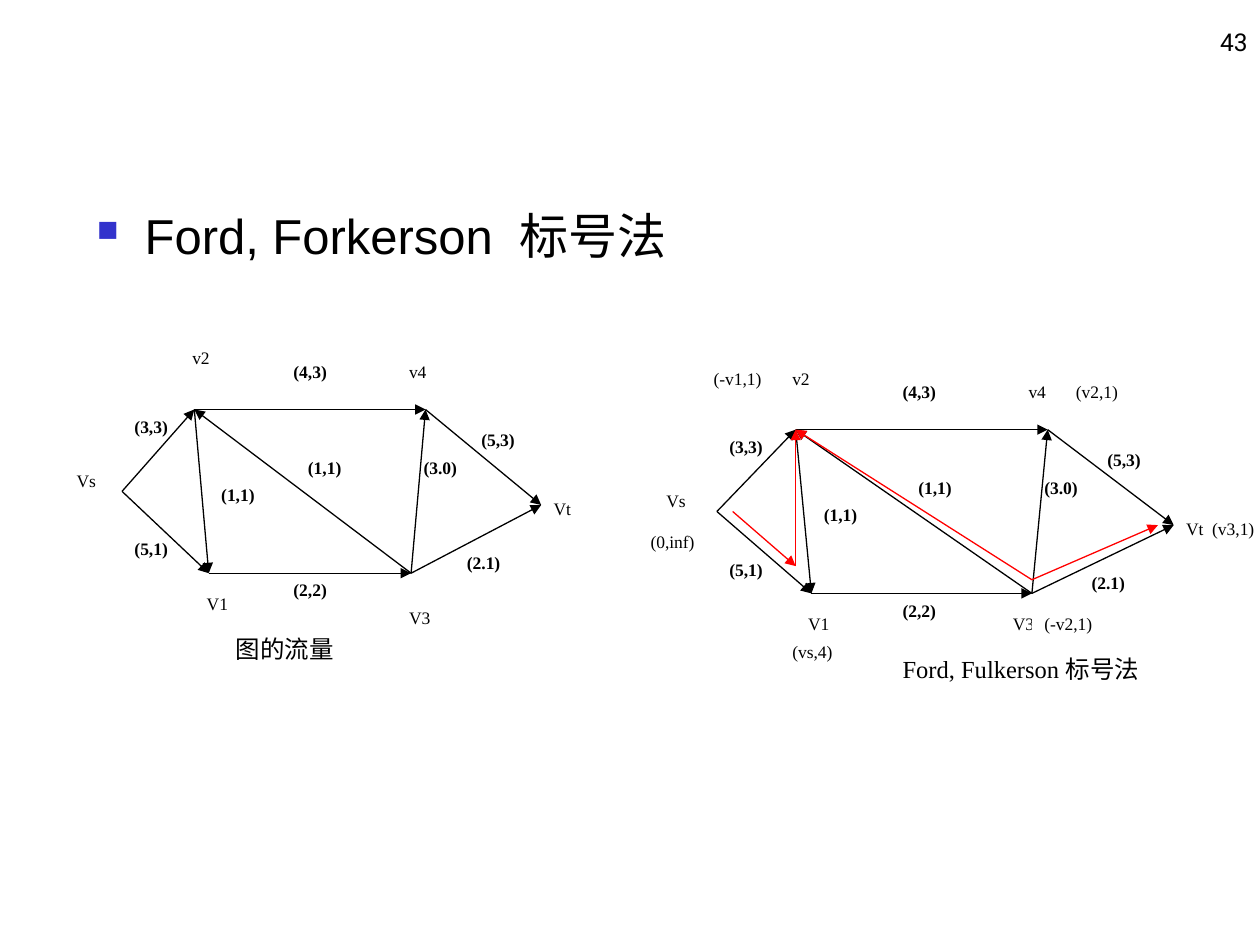
from lxml import etree
from pptx import Presentation
from pptx.dml.color import RGBColor
from pptx.enum.shapes import MSO_CONNECTOR, MSO_SHAPE
from pptx.enum.text import MSO_ANCHOR, PP_ALIGN
from pptx.oxml.ns import qn
from pptx.util import Inches, Pt

BLACK = RGBColor(0x00, 0x00, 0x00)
RED = RGBColor(0xFF, 0x00, 0x00)
WHITE = RGBColor(0xFF, 0xFF, 0xFF)
BULLET = RGBColor(0x33, 0x33, 0xCC)
STRAIGHT = MSO_CONNECTOR.STRAIGHT
RECT = MSO_SHAPE.RECTANGLE
TOP, BOTTOM = MSO_ANCHOR.TOP, MSO_ANCHOR.BOTTOM
RIGHT, JUSTIFY, LEFT = PP_ALIGN.RIGHT, PP_ALIGN.JUSTIFY, PP_ALIGN.LEFT
SERIF = "Times New Roman"

# Both networks share one grid of (column, row); row 0 is the level of v2 and v4.
NODES = {"Vs": (4, 6), "V1": (10, 12), "v2": (9, 0),
         "V3": (24, 12), "v4": (25, 0), "Vt": (33, 7)}
EDGES = [("v2", "v4"), ("Vs", "v2"), ("Vs", "V1"), ("V1", "V3"), ("v2", "V1"),
         ("V3", "v2"), ("v4", "Vt"), ("V3", "Vt"), ("V3", "v4")]
CAPACITIES = [("(5,1)", 4, 9), ("(1,1)", 10, 5), ("(4,3)", 15, -4), ("(5,3)", 28, 1),
              ("(3.0)", 24, 3), ("(2.1)", 27, 10), ("(2,2)", 15, 12),
              ("(3,3)", 4, 0), ("(1,1)", 16, 3)]
NAMES = [("Vs ", 0, 4), ("v2", 8, -5), ("V1", 9, 13), ("v4", 23, -4)]
ROW = 0.1083
LABEL_COLS, LABEL_ROWS, MARK_ROWS = 5, 4, 3

NETWORKS = [
    {"left": 0.51, "top": 3.25, "col": 0.1147,
     "names": NAMES + [("V3", 23, 14)],
     "sink": ("Vt", 33, 6, 5),
     "caption": ("图的流量 ", 11, 16), "path": [], "marks": []},
    {"left": 5.19, "top": 3.41, "col": 0.125,
     "names": NAMES + [("V3", 22, 13)],
     "sink": ("Vt  (v3,1)", 33, 6, 8),
     "caption": ("Ford, Fulkerson 标号法", 15, 16),
     "path": [((5, 6), (9, 10)), ((9, 10), (9, 0)),
              ((24, 11), (9, 0)), ((24, 11), (32, 7))],
     "marks": [("(0,inf)", -1, 7), ("(-v2,1)", 24, 13), ("(v2,1)", 26, -4),
               ("(-v1,1)", 3, -5), ("(vs,4)", 8, 15)]},
]


def write(sp, text, size, font=SERIF, bold=False, align=JUSTIFY, anchor=TOP):
    tf = sp.text_frame
    tf.word_wrap = True
    tf.vertical_anchor = anchor
    p = tf.paragraphs[0]
    p.text = text
    p.alignment = align
    f = p.runs[0].font
    f.size, f.name, f.bold = Pt(size), font, bold
    f.color.rgb = BLACK
    return p


def add_arrow(shapes, start, end, color):
    line = shapes.add_connector(STRAIGHT, *map(Inches, start + end))
    line.line.color.rgb = color
    line.line.width = Pt(0.75)
    etree.SubElement(line.line._get_or_add_ln(), qn("a:tailEnd"), type="triangle")
    etree.SubElement(line._element.spPr, qn("a:effectLst"))


def add_bullet(p):
    pPr = p._p.get_or_add_pPr()
    pPr.set("marL", str(Inches(0.38)))
    pPr.set("indent", str(-Inches(0.38)))
    clr = etree.SubElement(pPr, qn("a:buClr"))
    etree.SubElement(clr, qn("a:srgbClr"), val=str(BULLET))
    etree.SubElement(pPr, qn("a:buSzPct"), val="60000")
    etree.SubElement(pPr, qn("a:buChar"), char="■")


def add_network(slide, net):
    shapes = slide.shapes.add_group_shape().shapes

    def at(point):
        return net["left"] + point[0] * net["col"], net["top"] + point[1] * ROW

    def box(col, row, cols, rows):
        return [Inches(v) for v in (*at((col, row)), cols * net["col"], rows * ROW)]

    for start, end in EDGES:
        add_arrow(shapes, at(NODES[start]), at(NODES[end]), BLACK)
    for start, end in net["path"]:
        add_arrow(shapes, at(start), at(end), RED)

    for labels, bold in ((CAPACITIES, True), (net["names"], False)):
        for text, col, row in labels:
            tb = shapes.add_textbox(*box(col, row, LABEL_COLS, LABEL_ROWS))
            write(tb, text, 10, bold=bold)
    text, col, row, cols = net["sink"]
    write(shapes.add_textbox(*box(col, row, cols, MARK_ROWS)), text, 10)
    text, col, row = net["caption"]
    write(shapes.add_textbox(*box(col, row, 21, 8)), text, 14)

    for text, col, row in net["marks"]:
        sp = shapes.add_shape(RECT, *box(col, row, LABEL_COLS, MARK_ROWS))
        sp.shadow.inherit = False
        sp.fill.solid()
        sp.fill.fore_color.rgb = WHITE
        sp.line.fill.background()
        write(sp, text, 10)


def main():
    prs = Presentation()
    prs.slide_width, prs.slide_height = Inches(10), Inches(7.5)
    slide = prs.slides.add_slide(prs.slide_layouts[6])

    number = slide.shapes.add_textbox(Inches(7.92), 0, Inches(2.08), Inches(0.5))
    write(number, "43", 14, "Roboto", align=RIGHT, anchor=BOTTOM)

    body = slide.shapes.add_textbox(*map(Inches, (0.67, 1.58, 8.75, 5.17)))
    add_bullet(write(body, "Ford, Forkerson  标号法", 28, "Arial", align=LEFT))

    for net in NETWORKS:
        add_network(slide, net)
    prs.save("out.pptx")


if __name__ == "__main__":
    main()
